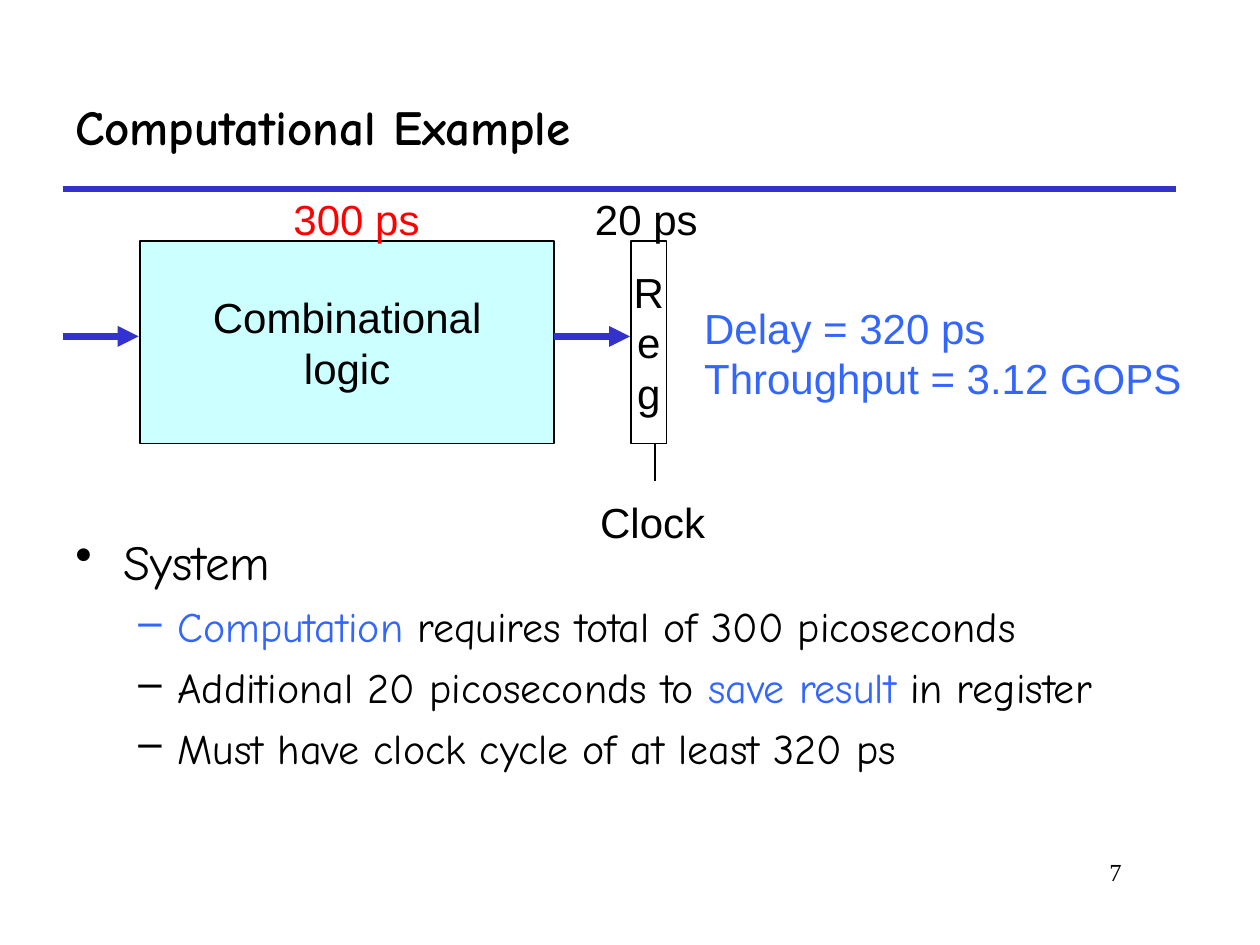
from dataclasses import dataclass

from lxml import etree
from pptx import Presentation
from pptx import util as u
from pptx.dml.color import RGBColor
from pptx.enum import shapes, text
from pptx.oxml import ns


@dataclass(frozen=True)
class Theme:
    black: str = "000000"
    white: str = "FFFFFF"
    rule: str = "3333CC"
    accent: str = "3366FF"
    logic: str = "CCFFFF"
    alert: str = "FF0000"
    hand: str = "Comic Neue"
    sans: str = "Arial"
    serif: str = "Times New Roman"
    heading: int = 28
    body: int = 24
    number: int = 14


THEME = Theme()
LEFT, CENTER, RIGHT = text.PP_ALIGN.LEFT, text.PP_ALIGN.CENTER, text.PP_ALIGN.RIGHT


def apply(target, formats):
    for name, value in formats.items():
        setattr(target, name, value)


def place(box):
    return [u.Inches(length) for length in box]


def add_run(paragraph, words, color, font, size, bold=False):
    run = paragraph.add_run()
    run.text = words
    apply(run.font, {"name": font, "size": u.Pt(size), "bold": bold})
    run.font.color.rgb = RGBColor.from_string(color)


def write(frame, lines, color=THEME.black, font=THEME.sans, size=THEME.body,
          bold=False, align=CENTER, anchor=text.MSO_ANCHOR.TOP, wrap=False):
    apply(frame, {"word_wrap": wrap, "vertical_anchor": anchor})
    for index, line in enumerate(lines):
        paragraph = frame.add_paragraph() if index else frame.paragraphs[0]
        paragraph.alignment = align
        add_run(paragraph, line, color, font, size, bold)


def add_label(slide, box, lines, **formats):
    frame = slide.shapes.add_textbox(*place(box)).text_frame
    write(frame, lines, **formats)
    if not frame.word_wrap:
        frame.auto_size = text.MSO_AUTO_SIZE.SHAPE_TO_FIT_TEXT


def add_block(slide, box, lines, fill):
    block = slide.shapes.add_shape(shapes.MSO_SHAPE.RECTANGLE, *place(box))
    block.shadow.inherit = False
    block.fill.solid()
    block.fill.fore_color.rgb = RGBColor.from_string(fill)
    block.line.color.rgb = RGBColor.from_string(THEME.black)
    block.line.width = u.Pt(1)
    write(block.text_frame, lines, anchor=text.MSO_ANCHOR.MIDDLE)


def add_line(slide, ends, color, width, arrow=False):
    line = slide.shapes.add_connector(shapes.MSO_CONNECTOR.STRAIGHT, *place(ends))
    line.line.color.rgb = RGBColor.from_string(color)
    line.line.width = u.Pt(width)
    if arrow:
        etree.SubElement(line.line._get_or_add_ln(), ns.qn("a:tailEnd"), type="triangle")
    etree.SubElement(line._element.spPr, ns.qn("a:effectLst"))


def add_bullet(paragraph, mark, color, margin, indent):
    properties = paragraph._p.get_or_add_pPr()
    properties.set("marL", str(u.Inches(margin)))
    properties.set("indent", str(u.Inches(-indent)))
    bullet_color = etree.SubElement(properties, ns.qn("a:buClr"))
    etree.SubElement(bullet_color, ns.qn("a:srgbClr"), val=color)
    etree.SubElement(properties, ns.qn("a:buChar"), char=mark)


def add_header(slide, box):
    left, top, width, height = box
    add_line(slide, (left, top + height, left + width, top + height), THEME.rule, 3)
    add_label(slide, box, ["Computational Example"], font=THEME.hand, size=THEME.heading,
              bold=True, align=LEFT, anchor=text.MSO_ANCHOR.MIDDLE, wrap=True)


def add_pipeline(slide, box):
    left, top, width, height = box
    logic_left, logic_width = left + 0.61, 3.29
    reg_left, reg_width = left + 4.51, 0.28
    block_top, block_height = top + 0.42, 1.61
    block_bottom = block_top + block_height
    flow, clock = top + 1.18, left + 4.7
    label_width, label_height = 1.2, 0.5

    add_block(slide, (logic_left, block_top, logic_width, block_height),
              ["Combinational", "logic"], THEME.logic)
    add_block(slide, (reg_left, block_top, reg_width, block_height), "Reg", THEME.white)
    for label, offset, drop, color in (
        ("300 ps", 1.73, 0, THEME.alert),
        ("20 ps", 4.03, 0, THEME.black),
        ("Clock", 4.08, height - label_height, THEME.black),
    ):
        add_label(slide, (left + offset, top + drop, label_width, label_height),
                  [label], color=color)
    for start in (left, logic_left + logic_width):
        add_line(slide, (start, flow, start + 0.6, flow), THEME.rule, 4, arrow=True)
    add_line(slide, (clock, block_bottom, clock, block_bottom + 0.3), THEME.black, 1)
    add_label(slide, (left + width - 3.99, top + 0.86, 3.99, 0.9),
              ["Delay = 320 ps", "Throughput = 3.12 GOPS"], color=THEME.accent, align=LEFT)


def add_summary(slide, box):
    black, accent = THEME.black, THEME.accent
    points = [
        (0, [("System", black)]),
        (1, [("Computation", accent), (" requires total of 300 picoseconds", black)]),
        (1, [("Additional 20 picoseconds to ", black), ("save result ", accent),
             ("in register", black)]),
        (1, [("Must have clock cycle of at least 320 ps", black)]),
    ]
    levels = [("•", 0.38, 0.38, 7, THEME.heading), ("–", 0.81, 0.31, 6, THEME.body)]
    frame = slide.shapes.add_textbox(*place(box)).text_frame
    frame.word_wrap = True
    for index, (level, runs) in enumerate(points):
        mark, margin, indent, gap, size = levels[level]
        paragraph = frame.add_paragraph() if index else frame.paragraphs[0]
        apply(paragraph, {"level": level, "space_before": u.Pt(gap)})
        add_bullet(paragraph, mark, runs[0][1], margin, indent)
        for words, color in runs:
            add_run(paragraph, words, color, THEME.hand, size)


def add_page_number(slide, box):
    add_label(slide, box, ["7"], font=THEME.serif, size=THEME.number, align=RIGHT, wrap=True)


def main():
    deck = Presentation()
    apply(deck, {"slide_width": u.Inches(10), "slide_height": u.Inches(7.5)})
    slide = deck.slides.add_slide(deck.slide_layouts[6])
    add_header(slide, (0.5, 0.5, 8.83, 1))
    add_page_number(slide, (7.58, 6.75, 1.42, 0.5))
    add_summary(slide, (0.5, 4.17, 9.08, 2.64))
    add_pipeline(slide, (0.5, 1.49, 8.98, 2.9))
    deck.save("out.pptx")


if __name__ == "__main__":
    main()
